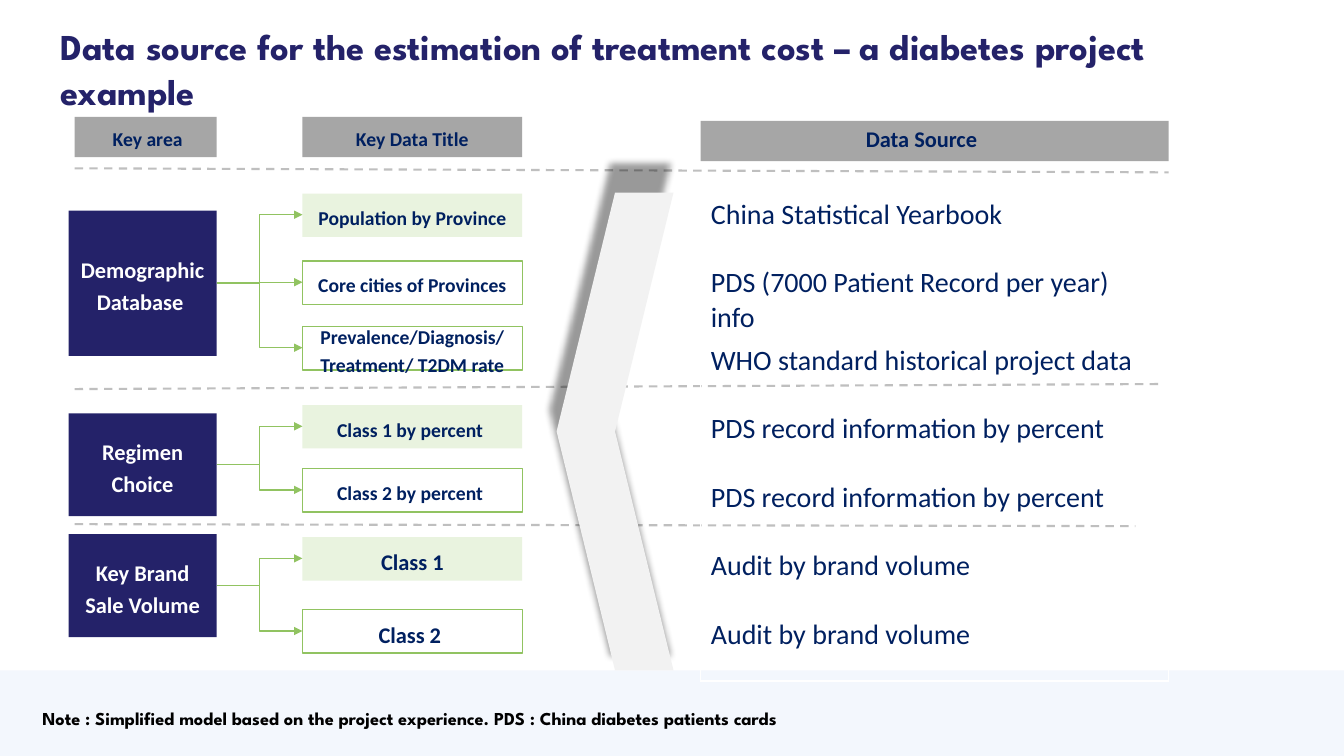
from lxml import etree
from pptx import Presentation
from pptx.dml.color import RGBColor
from pptx.enum.dml import MSO_LINE
from pptx.enum.shapes import MSO_CONNECTOR, MSO_SHAPE
from pptx.enum.text import MSO_ANCHOR, PP_ALIGN
from pptx.oxml.ns import qn
from pptx.util import Emu, Pt

PX = 9144  # 100 px to the inch
RECT, CHEVRON = MSO_SHAPE.RECTANGLE, MSO_SHAPE.CHEVRON
LINE, ELBOW = MSO_CONNECTOR.STRAIGHT, MSO_CONNECTOR.ELBOW
TOP, MID = MSO_ANCHOR.TOP, MSO_ANCHOR.MIDDLE
LEFT, CENTER = PP_ALIGN.LEFT, PP_ALIGN.CENTER
DASH = MSO_LINE.DASH
BODY, HEAD = "Calibri", "League Spartan"
COLORS = {
    "navy": "242269", "ink": "002060", "white": "FFFFFF", "black": "000000",
    "mint": "E9F3DF", "green": "91C361", "gray": "A6A6A6",
    "rule": "BFBFBF", "arrow": "F2F2F2", "foot": "F3F7FD",
}

AREA_X, AREA_W = 68, 147
DATA_X, DATA_W, DATA_H = 300, 218, 43

# Key area, top, height, text size of its data boxes, (data title, top)
AREAS = [
    ("Demographic Database ", 209, 144, 14, [
        ("Population by Province", 192),
        ("Core cities of Provinces", 259),
        ("Prevalence/Diagnosis/ Treatment/ T2DM rate", 324)]),
    ("Regimen Choice", 410, 102, 14, [
        ("Class 1 by percent ", 402),
        ("Class 2 by percent ", 465)]),
    ("Key Brand Sale Volume", 530, 102, 16, [
        ("Class 1", 533),
        ("Class 2 ", 605)]),
]
# Bar left, top, width; label, left, top, width, text size
HEADERS = [
    (74, 116, 141, "Key area", 76, 121, 141, 14),
    (300, 116, 218, "Key Data Title", 326, 121, 166, 14),
    (695, 120, 464, "Data Source ", 735, 119, 363, 16),
]
RULES = [(167, 1159, 171), (386, 1149, 381), (520, 1126, 522)]
SOURCES = [
    "China Statistical Yearbook",
    "PDS (7000 Patient Record per year) info",
    "WHO standard historical project data",
    "PDS record information by percent",
    "PDS record information by percent",
    "Audit by brand volume",
    "Audit by brand volume",
]


def px(*nums):
    return [Emu(n * PX) for n in nums]


def rgb(name):
    return RGBColor.from_string(COLORS[name])


def write(frame, text, size=14, color="ink", font=BODY, bold=True,
          align=LEFT, space=None):
    para = frame.paragraphs[0]
    para.alignment = align
    if space:
        para.line_spacing = space
    run = para.add_run()
    run.text = text
    run.font.size, run.font.name, run.font.bold = Pt(size), font, bold
    run.font.color.rgb = rgb(color)


def add_box(slide, x, y, w, h, fill=None, line=None, kind=RECT):
    box = slide.shapes.add_shape(kind, *px(x, y, w, h))
    box.shadow.inherit = False
    if fill:
        box.fill.solid()
        box.fill.fore_color.rgb = rgb(fill)
    else:
        box.fill.background()
    if line:
        box.line.color.rgb = rgb(line)
        box.line.width = Pt(1)
    else:
        box.line.fill.background()
    return box


def add_card(slide, x, y, w, h, text, size, color, **look):
    frame = add_box(slide, x, y, w, h, **look).text_frame
    frame.word_wrap = True
    frame.vertical_anchor = MID
    write(frame, text, size=size, color=color, align=CENTER, space=1.2)


def add_label(slide, x, y, w, h, text, anchor=TOP, inset=True, **style):
    frame = slide.shapes.add_textbox(*px(x, y, w, h)).text_frame
    frame.word_wrap = True
    frame.vertical_anchor = anchor
    if not inset:
        frame.margin_left = frame.margin_right = 0
        frame.margin_top = frame.margin_bottom = 0
    write(frame, text, **style)


def add_link(slide, kind, x1, y1, x2, y2, color, width, dash=None, head=False):
    link = slide.shapes.add_connector(kind, *px(x1, y1, x2, y2))
    link.line.color.rgb = rgb(color)
    link.line.width = Pt(width)
    if dash:
        link.line.dash_style = dash
    if head:
        tail = etree.SubElement(link.line._get_or_add_ln(), qn("a:tailEnd"))
        tail.set("type", "triangle")
    etree.SubElement(link._element.spPr, qn("a:effectLst"))


def add_area(slide, name, y, h, size, items):
    add_card(slide, AREA_X, y, AREA_W, h, name, 16, "white", fill="navy")
    for i, (text, top) in enumerate(items):
        look = {"line": "green"} if i else {"fill": "mint"}
        add_card(slide, DATA_X, top, DATA_W, DATA_H, text, size, "ink", **look)
        add_link(slide, ELBOW, AREA_X + AREA_W, y + h // 2,
                 DATA_X, top + DATA_H // 2, "green", 1, head=True)


def add_sources(slide, x, y, w, row):
    count = len(SOURCES)
    frame = slide.shapes.add_table(count, 1, *px(x, y, w, row * count))
    table = frame.table
    table.first_row = table.horz_banding = False
    for i, text in enumerate(SOURCES):
        cell = table.cell(i, 0)
        cell.fill.background()
        write(cell.text_frame, text, size=20, bold=False)


def add_chevron(slide, x, y, w, h):
    arrow = add_box(slide, x, y, w, h, fill="arrow", kind=CHEVRON)
    arrow.rotation = 180
    effects = arrow._element.spPr.find(qn("a:effectLst"))
    shade = etree.SubElement(effects, qn("a:outerShdw"), blurRad="63500",
                             sx="103000", sy="103000", algn="br",
                             rotWithShape="0")
    tone = etree.SubElement(shade, qn("a:srgbClr"), val=COLORS["black"])
    etree.SubElement(tone, qn("a:alpha"), val="40000")


def main():
    deck = Presentation()
    deck.slide_width, deck.slide_height = px(1333, 750)
    slide = deck.slides.add_slide(deck.slide_layouts[6])

    # Footer band and title
    add_box(slide, 0, 665, 1333, 85, fill="foot")
    add_label(slide, 60, 23, 1206, 85,
              "Data source for the estimation of treatment cost – "
              "a diabetes project example",
              inset=False, size=26, color="navy", font=HEAD, space=Pt(32))

    # Key areas with their data boxes
    for area in AREAS:
        add_area(slide, *area)

    # Column headers
    for x, y, w, text, left, top, width, size in HEADERS:
        add_box(slide, x, y, w, 40, fill="gray")
        add_label(slide, left, top, width, 34, text, size=size, align=CENTER)

    # Dashed rules
    for y1, x2, y2 in RULES:
        add_link(slide, LINE, 74, y1, x2, y2, "rule", 1.5, dash=DASH)

    # Data sources and chevron
    add_sources(slide, 695, 191, 464, 68)
    add_chevron(slide, 552, 191, 116, 474)

    # Note
    add_label(slide, 42, 700, 1043, 26,
              "Note : Simplified model based on the project experience. "
              "PDS : China diabetes patients cards",
              anchor=MID, inset=False, size=13, color="black", font=HEAD)
    deck.save("out.pptx")


if __name__ == "__main__":
    main()
